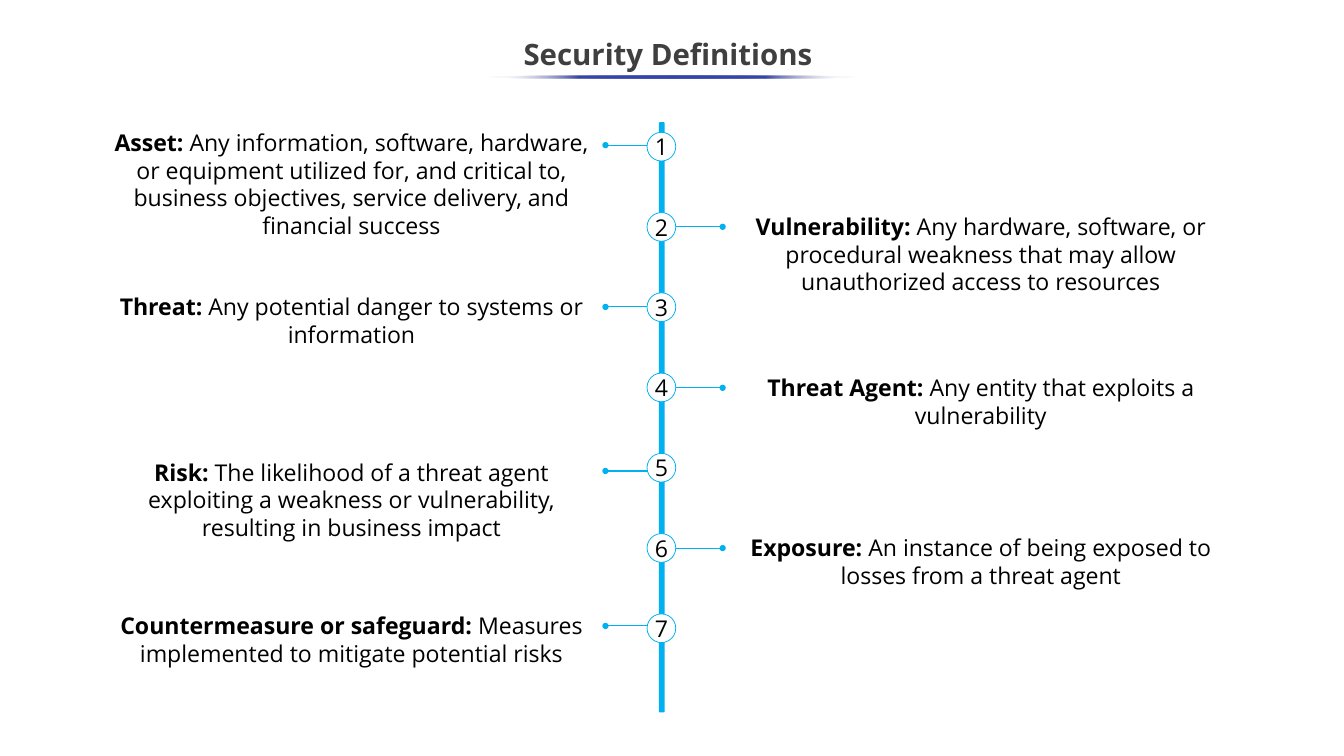
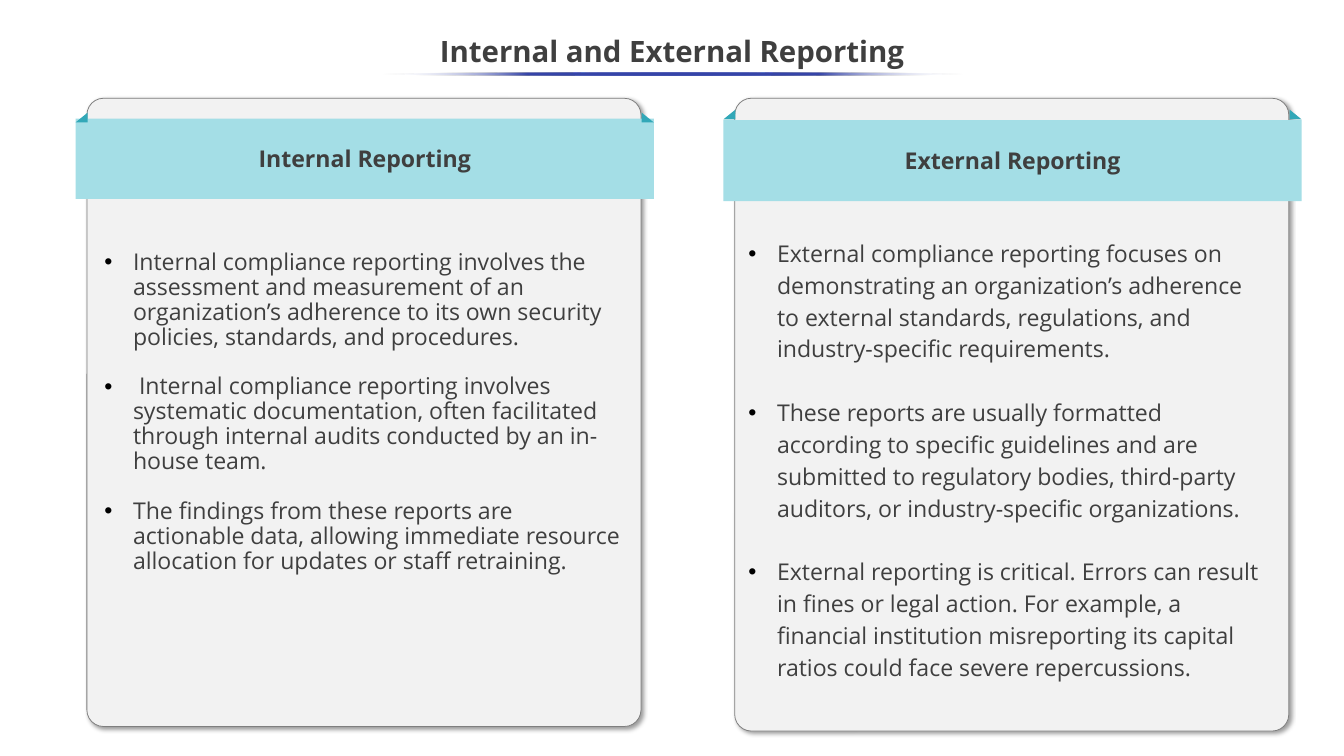
from lxml.etree import SubElement
from pptx import Presentation
from pptx.dml.color import RGBColor
from pptx.enum.shapes import MSO_CONNECTOR, MSO_SHAPE
from pptx.enum.text import MSO_ANCHOR, MSO_AUTO_SIZE, PP_ALIGN
from pptx.oxml import parse_xml
from pptx.oxml.ns import nsdecls, qn
from pptx.util import Inches, Pt

FONT = "Open Sans"
BLACK, WHITE, GREY = "000000", "FFFFFF", "3F3F3F"
CYAN, INDIGO = "00B0F0", "3645A9"
CARD_FILL, CARD_LINE = "F2F2F2", "7F7F7F"
BAND, FOLD = "A4DEE6", "32A8B8"
TEXT_SIZE = 22
LINE_HEIGHT = 1.2

DEFINITIONS_TITLE = {
    "text": "Security Definitions",
    "box": (0, 0.37, 17.67, 0.73),
    "underline": (6.44, 1, 4.9, 0.04),
}
REPORTING_TITLE = {
    "text": "Internal and External Reporting",
    "box": (0, 0.32, 17.78, 0.75),
    "underline": (5.06, 0.96, 7.68, 0.04),
}

DEFINITIONS = [
    ("Asset: ", "Any information, software, hardware, or equipment utilized for, and critical to, "
     "business objectives, service delivery, and financial success", 1.65, 1.92, 4),
    ("Vulnerability: ", "Any hardware, software, or procedural weakness that may allow "
     "unauthorized access to resources", 2.76, 3, 3),
    ("Threat: ", "Any potential danger to systems or information", 3.82, 4.06, 2),
    ("Threat Agent: ", "Any entity that exploits a vulnerability", 4.89, 5.13, 2),
    ("Risk: ", "The likelihood of a threat agent exploiting a weakness or vulnerability, "
     "resulting in business impact", 6.01, 6.23, 3),
    ("Exposure: ", "An instance of being exposed to losses from a threat agent", 7.01, 7.25, 2),
    ("Countermeasure or safeguard: ", "Measures implemented to mitigate potential risks",
     8.04, 8.28, 2),
]
SIDES = [
    {"left": 1.28, "width": 6.74, "start": 8.58, "dot": 8.01},
    {"left": 9.56, "width": 6.83, "start": 8.93, "dot": 9.56},
]
SPINE = (8.73, 1.63, 0.05, 7.78)
CIRCLE_LEFT, CIRCLE_SIZE = 8.56, 0.38
FIRST_CIRCLE, LAST_CIRCLE = 1.75, 8.12

CARDS = [
    {
        "heading": "Internal Reporting",
        "left": 1, "height": 8.31, "band": (1.57, 1.06), "fold_top": 1.49,
        "body": (1.28, 3.24, 7.07, 4.43), "spacing": 0.9,
        "bullets": [
            "Internal compliance reporting involves the assessment and measurement of an "
            "organization’s adherence to its own security policies, standards, and procedures.",
            " Internal compliance reporting involves systematic documentation, often facilitated "
            "through internal audits conducted by an in-house team.",
            "The findings from these reports are actionable data, allowing immediate resource "
            "allocation for updates or staff retraining.",
        ],
    },
    {
        "heading": "External Reporting",
        "left": 9.57, "height": 8.37, "band": (1.59, 1.07), "fold_top": 1.45,
        "body": (9.8, 3.03, 7.07, 6.06), "spacing": 1.15,
        "bullets": [
            "External compliance reporting focuses on demonstrating an organization’s adherence "
            "to external standards, regulations, and industry-specific requirements.",
            "These reports are usually formatted according to specific guidelines and are "
            "submitted to regulatory bodies, third-party auditors, or industry-specific "
            "organizations.",
            "External reporting is critical. Errors can result in fines or legal action. For "
            "example, a financial institution misreporting its capital ratios could face severe "
            "repercussions.",
        ],
    },
]
CARD_TOP, CARD_WIDTH, CARD_INSET = 1.3, 7.33, 0.15
BAND_WIDTH = 7.65
FOLD_WIDTH, FOLD_HEIGHT = 0.16, 0.13

FRAME_FORMAT = {"word_wrap": True, "auto_size": MSO_AUTO_SIZE.NONE}
TIGHT_FORMAT = {"margin_left": 0, "margin_right": 0, "margin_top": 0, "margin_bottom": 0}
CENTRED = {"alignment": PP_ALIGN.CENTER}


def color(value):
    return RGBColor.from_string(value)


def apply_format(target, values):
    for name, value in values.items():
        setattr(target, name, value)


def place(shape, box):
    apply_format(shape, dict(zip(("left", "top", "width", "height"), map(Inches, box))))


def add_run(paragraph, text, hex_color, size=TEXT_SIZE, bold=False):
    run = paragraph.add_run()
    run.text = text
    apply_format(run.font, {"name": FONT, "size": Pt(size), "bold": bold})
    run.font.color.rgb = color(hex_color)


def add_box(slide, kind, box, fill, line=None, line_width=0.75):
    shape = slide.shapes.add_shape(kind, *map(Inches, box))
    shape.shadow.inherit = False
    shape.fill.solid()
    shape.fill.fore_color.rgb = color(fill)
    if line:
        shape.line.color.rgb = color(line)
        shape.line.width = Pt(line_width)
    else:
        shape.line.fill.background()
    return shape


def label_shape(shape, text, hex_color, bold=False):
    frame = shape.text_frame
    apply_format(frame, {**TIGHT_FORMAT, "vertical_anchor": MSO_ANCHOR.MIDDLE})
    apply_format(frame.paragraphs[0], CENTRED)
    add_run(frame.paragraphs[0], text, hex_color, bold=bold)


def add_title(slide, title):
    place(slide.shapes.title, title["box"])
    frame = slide.shapes.title.text_frame
    apply_format(frame, {**FRAME_FORMAT, "vertical_anchor": MSO_ANCHOR.MIDDLE})
    paragraph = frame.paragraphs[0]
    apply_format(paragraph, {**CENTRED, "line_spacing": 0.9})
    add_run(paragraph, title["text"], GREY, size=28, bold=True)


def add_underline(slide, box):
    shape = add_box(slide, MSO_SHAPE.OVAL, box, INDIGO)
    stops = "".join(
        f'<a:gs pos="{position * 1000}"><a:srgbClr val="{value}"><a:alpha val="{alpha * 1000}"/>'
        "</a:srgbClr></a:gs>"
        for position, value, alpha in [(0, WHITE, 0), (25, INDIGO, 100), (50, INDIGO, 100),
                                       (75, INDIGO, 100), (100, WHITE, 0)]
    )
    gradient = parse_xml(
        f'<a:gradFill {nsdecls("a")} rotWithShape="1"><a:gsLst>{stops}</a:gsLst>'
        '<a:lin ang="10800000" scaled="0"/></a:gradFill>'
    )
    properties = shape.element.spPr
    properties.replace(properties.find(qn("a:solidFill")), gradient)


def add_dotted_line(slide, start, end, y):
    connector = slide.shapes.add_connector(
        MSO_CONNECTOR.STRAIGHT, Inches(start), Inches(y), Inches(end), Inches(y))
    connector.line.color.rgb = color(CYAN)
    connector.line.width = Pt(1)
    properties = connector.element.spPr
    SubElement(properties.find(qn("a:ln")), qn("a:tailEnd"), type="oval")
    SubElement(properties, qn("a:effectLst"))


def add_definition(slide, definition, side):
    term, meaning, top, line_y, line_count = definition
    box = (side["left"], top, side["width"], 0.1 + 0.37 * line_count)
    frame = slide.shapes.add_textbox(*map(Inches, box)).text_frame
    apply_format(frame, FRAME_FORMAT)
    paragraph = frame.paragraphs[0]
    apply_format(paragraph, CENTRED)
    add_run(paragraph, term, BLACK, bold=True)
    add_run(paragraph, meaning, BLACK)
    add_dotted_line(slide, side["start"], side["dot"], line_y)


def build_definitions(presentation):
    slide = presentation.slides.add_slide(presentation.slide_layouts[5])
    add_title(slide, DEFINITIONS_TITLE)
    spine = add_box(slide, MSO_SHAPE.ROUNDED_RECTANGLE, SPINE, CYAN, CYAN, 2)
    spine.adjustments[0] = 0.05
    pitch = (LAST_CIRCLE - FIRST_CIRCLE) / (len(DEFINITIONS) - 1)
    for index, definition in enumerate(DEFINITIONS):
        add_definition(slide, definition, SIDES[index % 2])
        circle_box = (CIRCLE_LEFT, FIRST_CIRCLE + index * pitch, CIRCLE_SIZE, CIRCLE_SIZE)
        circle = add_box(slide, MSO_SHAPE.OVAL, circle_box, WHITE, CYAN)
        circle.text_frame.word_wrap = False
        label_shape(circle, str(index + 1), BLACK)
    add_underline(slide, DEFINITIONS_TITLE["underline"])


def add_card_shadow(panel):
    effects = panel.element.spPr.find(qn("a:effectLst"))
    effects.append(parse_xml(
        f'<a:outerShdw {nsdecls("a")} blurRad="{Pt(4)}" dist="{Pt(3)}" dir="2700000" algn="tl" '
        f'rotWithShape="0"><a:srgbClr val="{BLACK}"><a:alpha val="40000"/></a:srgbClr>'
        "</a:outerShdw>"
    ))


def add_bullet(paragraph):
    properties = paragraph._p.get_or_add_pPr()
    properties.set("marL", str(Inches(0.38)))
    properties.set("indent", str(-Inches(0.38)))
    SubElement(SubElement(properties, qn("a:buClr")), qn("a:srgbClr"), val=BLACK)
    SubElement(properties, qn("a:buFont"), typeface="Arial")
    SubElement(properties, qn("a:buChar"), char="•")


def fill_body(body, card):
    place(body, card["body"])
    frame = body.text_frame
    apply_format(frame, {**FRAME_FORMAT, "vertical_anchor": MSO_ANCHOR.MIDDLE})
    gap = Pt(TEXT_SIZE * LINE_HEIGHT * card["spacing"])
    for index, text in enumerate(card["bullets"]):
        paragraph = frame.add_paragraph() if index else frame.paragraphs[0]
        add_bullet(paragraph)
        apply_format(paragraph, {"line_spacing": card["spacing"],
                                 "space_before": gap if index else Pt(0),
                                 "space_after": Pt(0)})
        add_run(paragraph, text, GREY)


def add_card(slide, card, body):
    left = card["left"]
    band_top, band_height = card["band"]
    panel = add_box(slide, MSO_SHAPE.ROUNDED_RECTANGLE,
                    (left + CARD_INSET, CARD_TOP, CARD_WIDTH, card["height"]),
                    CARD_FILL, CARD_LINE)
    panel.adjustments[0] = 0.03
    add_card_shadow(panel)
    band = add_box(slide, MSO_SHAPE.RECTANGLE, (left, band_top, BAND_WIDTH, band_height), BAND)
    label_shape(band, card["heading"], GREY, bold=True)
    for fold_left, flipped in [(left, True), (left + BAND_WIDTH - FOLD_WIDTH, False)]:
        fold = add_box(slide, MSO_SHAPE.RIGHT_TRIANGLE,
                       (fold_left, card["fold_top"], FOLD_WIDTH, FOLD_HEIGHT), FOLD)
        if flipped:
            fold.element.spPr.xfrm.set("flipH", "1")
    fill_body(body, card)
    slide.shapes.element.append(body.element)


def build_reporting(presentation):
    slide = presentation.slides.add_slide(presentation.slide_layouts[3])
    add_title(slide, REPORTING_TITLE)
    bodies = [slide.placeholders[1], slide.placeholders[2]]
    for card, body in zip(CARDS, bodies):
        add_card(slide, card, body)
    add_underline(slide, REPORTING_TITLE["underline"])


def main():
    presentation = Presentation()
    apply_format(presentation, {"slide_width": Inches(17.78), "slide_height": Inches(10)})
    build_definitions(presentation)
    build_reporting(presentation)
    presentation.save("out.pptx")


if __name__ == "__main__":
    main()
